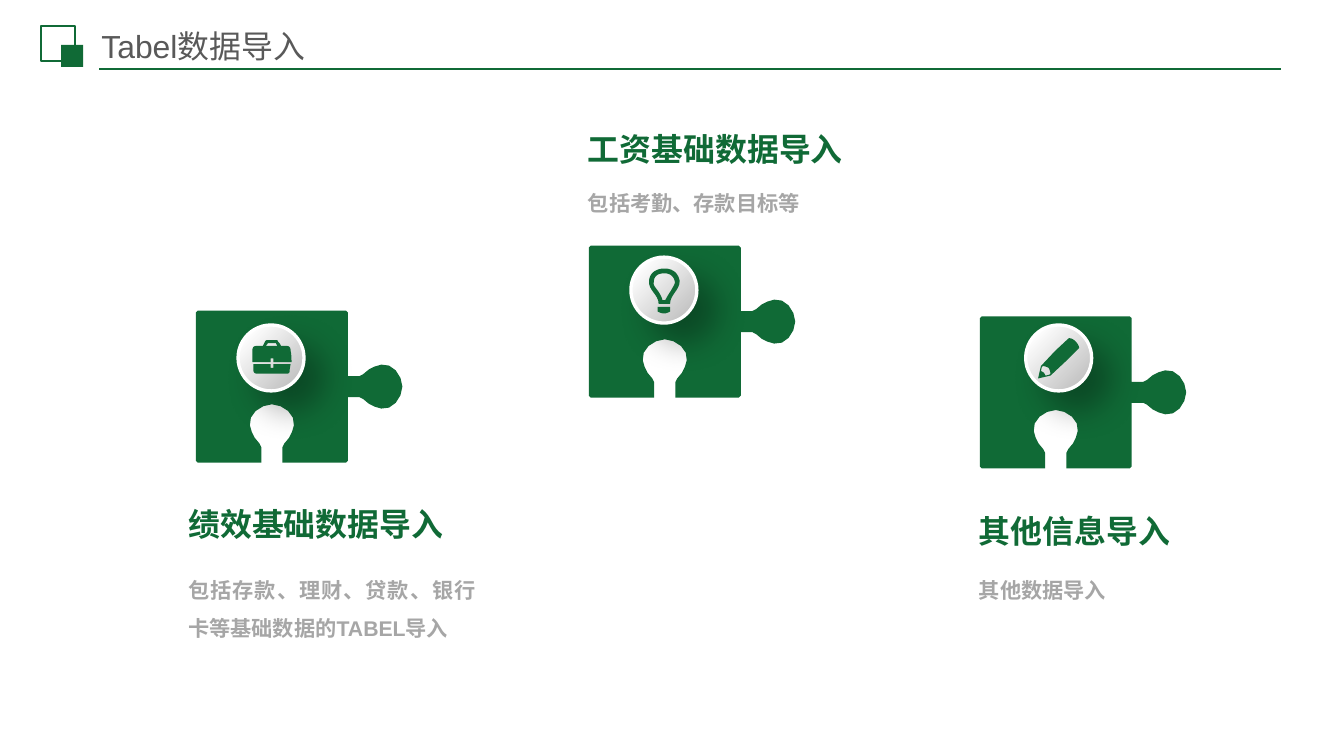
"""Build the slide on the three kinds of data import."""
from dataclasses import dataclass
from lxml.etree import SubElement
from pptx import Presentation
from pptx.dml.color import RGBColor as Rgb
from pptx.enum.shapes import MSO_CONNECTOR as Wire, MSO_SHAPE as Kind
from pptx.enum.text import MSO_ANCHOR as Anchor, PP_ALIGN as Align
from pptx.oxml.ns import qn
from pptx.util import Inches, Pt

COLS, ROWS = 1406, 791
WIDE, HIGH = Inches(14.06), Inches(7.91)
HUES = {"green": "106A36", "gray": "A6A6A6", "dark": "595959",
        "white": "FFFFFF", "shade": "B8B8B8", "black": "000000"}
FONT = "Arial"
SIDE, DISC, CUT = 159, 69, 2
NECK = [(0, 11), (12, 11), (16, 13), (22, 18), (28, 21), (35, 23),
        (43, 22), (50, 17), (55, 9), (57, 0)]

BAG = [
    [(19, 19), (22, 19), (22, 23), (41, 23), (41, 23, 41, 14, 40, 11),
     (40, 8, 39, 6, 36, 6), (30, 6), (29, 4, 28, 2, 27, 2),
     (27, 0, 26, 0, 25, 0), (16, 0), (14, 0, 14, 0, 13, 2),
     (13, 2, 12, 4, 11, 6), (4, 6), (1, 6, 0, 8, 0, 11), (0, 23), (19, 23)],
    [(16, 4), (16, 3, 16, 3, 17, 3), (23, 3), (25, 3, 25, 3, 25, 4),
     (25, 4, 26, 5, 26, 6), (14, 6), (15, 5, 15, 4, 16, 4)],
    [(22, 29), (19, 29), (19, 25), (1, 25), (1, 25, 1, 28, 1, 31),
     (1, 33, 2, 35, 5, 35), (36, 35), (39, 35, 39, 33, 39, 31),
     (40, 25), (22, 25)],
]
BULB = [
    [(10, 45), (12, 46, 14, 47, 17, 47), (19, 47, 21, 46, 23, 45),
     (23, 40), (10, 40)],
    [(23, 37), (23, 27, 33, 23, 33, 13), (32, 7, 28, 0, 17, 0),
     (6, 0, 1, 7, 1, 13), (0, 23, 11, 27, 11, 37)],
    [(6, 14), (6, 8, 10, 5, 17, 5), (23, 5, 27, 8, 28, 14),
     (28, 17, 26, 19, 24, 23), (22, 26, 20, 29, 18, 33), (15, 33),
     (14, 29, 12, 26, 10, 23), (7, 19, 5, 17, 6, 14)],
]
PEN = [
    [(39, 4), (35, 0, 32, 1, 32, 1), (18, 14), (3, 30), (0, 43), (13, 40),
     (29, 25), (43, 11), (43, 11, 43, 8, 39, 4)],
    [(12, 39), (8, 40), (7, 39, 7, 38, 6, 37), (5, 36, 4, 36, 3, 35),
     (4, 31), (5, 30), (5, 30, 8, 30, 11, 32), (13, 35, 13, 38, 13, 38)],
]


@dataclass
class Text:
    words: str
    box: tuple
    size: int
    hue: str
    bold: bool = True
    lead: float = 1.2
    align: Align = Align.JUSTIFY


@dataclass
class Piece:
    spot: tuple
    disc: tuple
    inset: tuple
    icon: list
    head: Text
    note: Text


def head(words: str, *box: int) -> Text:
    return Text(words, box, 24, "green")


def note(words: str, *box: int) -> Text:
    return Text(words, box, 16, "gray", lead=1.5)


PIECES = [
    Piece((205, 325), (249, 340), (15, 16), BAG,
          head("绩效基础数据导入", 197, 520, 286, 44),
          note("包括存款、理财、贷款、银行卡等基础数据的TABEL导入", 197, 591, 301, 76)),
    Piece((616, 257), (660, 269), (18, 12), BULB,
          head("工资基础数据导入", 615, 128, 300, 44),
          note("包括考勤、存款目标等", 615, 186, 371, 35)),
    Piece((1025, 331), (1073, 340), (13, 13), PEN,
          head("其他信息导入", 1024, 527, 254, 44),
          note("其他数据导入", 1024, 591, 325, 35)),
]
TITLE = Text("Tabel数据导入", (99, 29, 582, 43), 24, "dark", False, 0.9, Align.LEFT)


def across(cols: float) -> int:
    return round(WIDE * cols / COLS)


def down(rows: float) -> int:
    return round(HIGH * rows / ROWS)


def frame(box: tuple) -> tuple:
    left, top, wide, high = box
    return across(left), down(top), across(wide), down(high)


def hue(name: str) -> Rgb:
    return Rgb.from_string(HUES[name])


def paint(shape, name: str) -> None:
    shape.shadow.inherit = False
    shape.fill.solid()
    shape.fill.fore_color.rgb = hue(name)
    shape.line.fill.background()


def flat(steps: list, parts: int = 8) -> list:
    """Turn lines and cubic curves into a list of points."""
    dots = [steps[0]]
    for step in steps[1:]:
        if len(step) == 2:
            dots.append(step)
            continue
        x, y = dots[-1]
        for n in range(1, parts + 1):
            t = n / parts
            u = 1 - t
            mix = (u**3, 3 * u * u * t, 3 * u * t * t, t**3)
            dots.append((sum(m * v for m, v in zip(mix, (x, *step[::2]))),
                         sum(m * v for m, v in zip(mix, (y, *step[1::2])))))
    return dots


def trace(shapes, rings: list, left: float, top: float) -> None:
    """Draw closed rings of points as one green outline."""
    pen = None
    for ring in rings:
        dots = [(across(left + x), down(top + y)) for x, y in flat(ring)]
        if pen is None:
            pen = shapes.build_freeform(*dots[0], scale=1.0)
        else:
            pen.move_to(*dots[0])
        pen.add_line_segments(dots[1:], close=True)
    paint(pen.convert_to_shape(), "green")


def jigsaw() -> list:
    """Give a square with a knob on its right and a notch in its base."""
    mid = SIDE / 2
    bend = [(d, -h) for d, h in NECK] + [(d, h) for d, h in NECK[-2::-1]]
    knob = [(SIDE + d, mid + h) for d, h in bend]
    slot = [(mid - h, SIDE - d - (4 if d else 0)) for d, h in bend]
    far = SIDE - CUT
    return [(0, CUT), (CUT, 0), (far, 0), (SIDE, CUT), *knob, (SIDE, far),
            (far, SIDE), *slot, (CUT, SIDE), (0, far)]


def badge(shapes, piece: Piece) -> None:
    """Draw a shaded disc with its icon."""
    group = shapes.add_group_shape().shapes
    disc = group.add_shape(Kind.OVAL, *frame((*piece.disc, DISC, DISC)))
    disc.fill.gradient()
    disc.fill.gradient_angle = 315
    for stop, name, place in zip(disc.fill.gradient_stops, ("white", "shade"), (0.13, 1)):
        stop.color.rgb = hue(name)
        stop.position = place
    disc.line.color.rgb = hue("white")
    disc.line.width = Pt(2.5)
    disc.shadow.inherit = False
    glow = SubElement(disc.element.spPr.find(qn("a:effectLst")), qn("a:outerShdw"),
                      blurRad=str(Pt(24)), dist=str(Pt(20)), dir="2700000",
                      algn="tl", rotWithShape="0")
    tint = SubElement(glow, qn("a:srgbClr"), val=HUES["black"])
    SubElement(tint, qn("a:alpha"), val="30000")
    trace(group, piece.icon, *(d + i for d, i in zip(piece.disc, piece.inset)))


def write(shapes, text: Text, pad: tuple = (0, 0)):
    body = shapes.add_textbox(*frame(text.box)).text_frame
    body.word_wrap = True
    body.margin_left = body.margin_right = across(pad[0])
    body.margin_top = body.margin_bottom = down(pad[1])
    para = body.paragraphs[0]
    para.text = text.words
    para.alignment, para.line_spacing = text.align, text.lead
    font = para.font
    font.name, font.size, font.bold = FONT, Pt(text.size), text.bold
    font.color.rgb = hue(text.hue)
    return body


def banner(shapes) -> None:
    """Draw the title, its rule and the two squares."""
    rule = shapes.add_connector(Wire.STRAIGHT, across(104), down(72), across(1340), down(72))
    rule.line.color.rgb = hue("green")
    rule.line.width = Pt(1.25)
    SubElement(rule.element.spPr, qn("a:effectLst"))
    group = shapes.add_group_shape().shapes
    open_box = group.add_shape(Kind.RECTANGLE, *frame((43, 27, 36, 37)))
    open_box.shadow.inherit = False
    open_box.fill.background()
    open_box.line.color.rgb = hue("green")
    open_box.line.width = Pt(1.5)
    paint(group.add_shape(Kind.RECTANGLE, *frame((64, 47, 23, 23))), "green")
    write(shapes, TITLE, (7, 4)).vertical_anchor = Anchor.MIDDLE


def main() -> None:
    deck = Presentation()
    deck.slide_width, deck.slide_height = WIDE, HIGH
    shapes = deck.slides.add_slide(deck.slide_layouts[6]).shapes
    banner(shapes)
    for piece in PIECES:
        trace(shapes, [jigsaw()], *piece.spot)
        badge(shapes, piece)
        write(shapes, piece.head)
        write(shapes, piece.note)
    deck.save("out.pptx")


if __name__ == "__main__":
    main()
